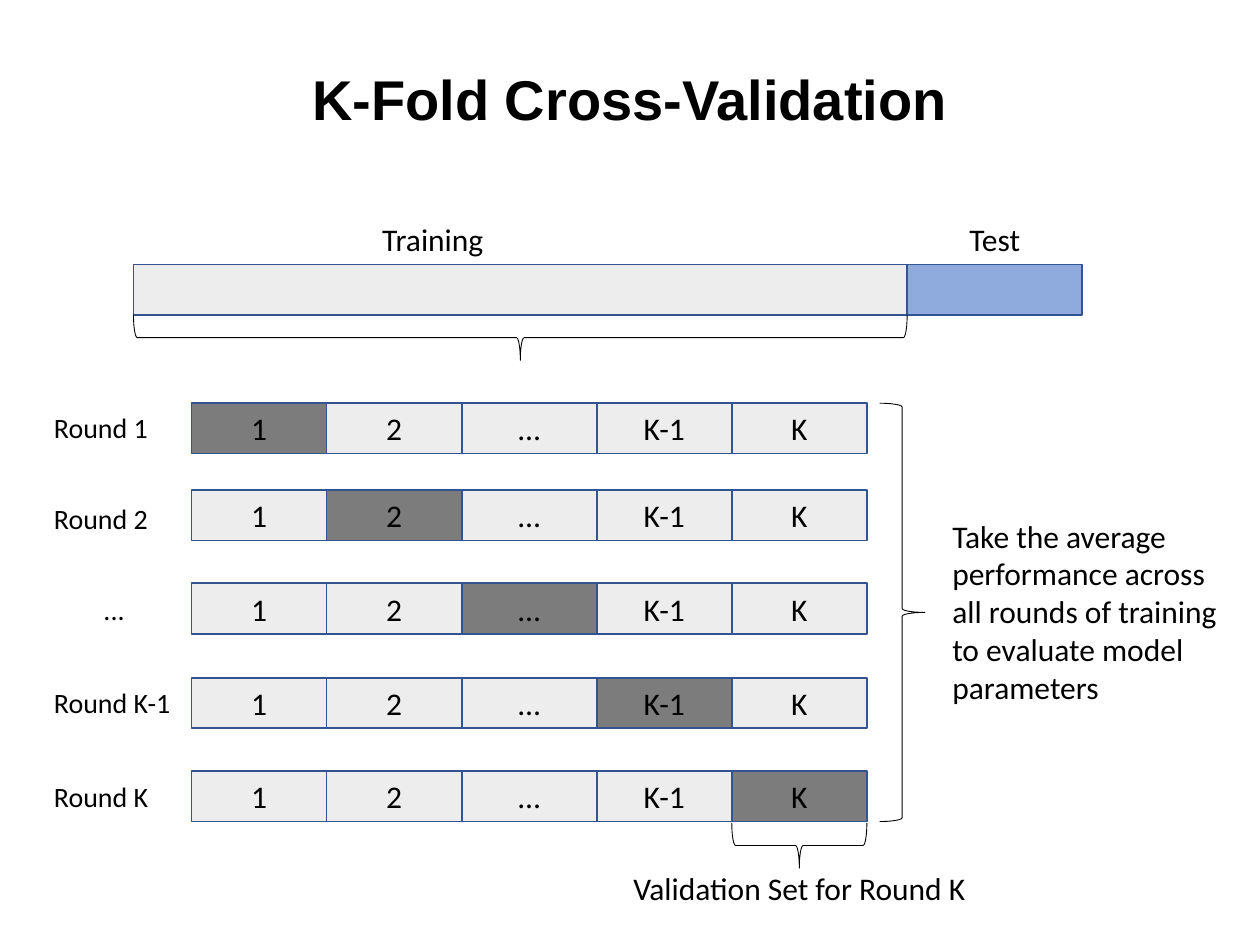
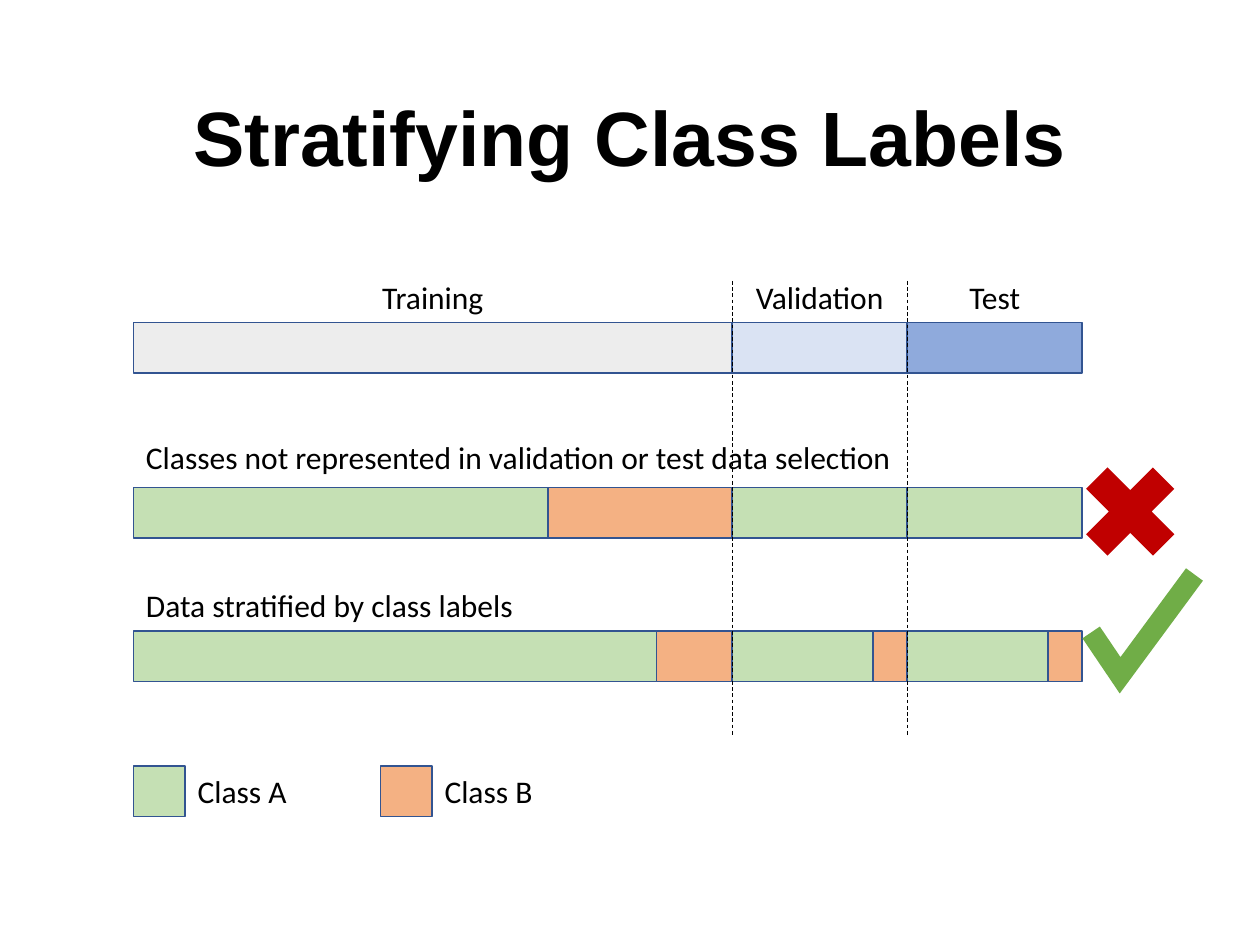
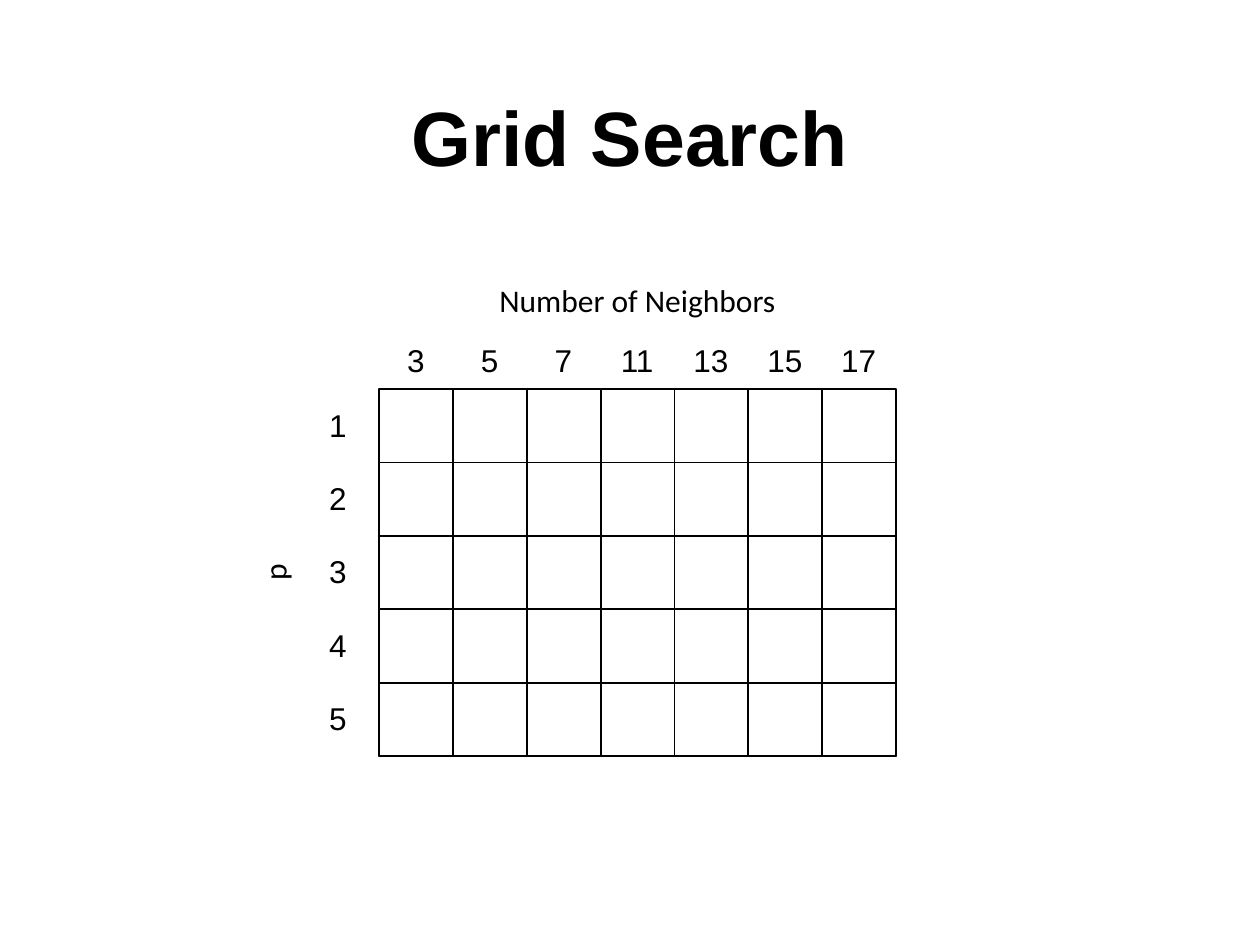
from lxml.etree import SubElement
from pptx import Presentation
from pptx.dml.color import RGBColor
from pptx.enum.dml import MSO_LINE
from pptx.enum.shapes import MSO_CONNECTOR, MSO_SHAPE
from pptx.enum.text import MSO_ANCHOR, MSO_AUTO_SIZE, PP_ALIGN
from pptx.oxml.ns import qn
from pptx.util import Inches, Pt

INK = {
    "black": "000000", "edge": "325491", "train": "EDEDED", "valid": "DAE3F3",
    "test": "8FAADC", "held": "7C7C7C", "class_a": "C5E0B4", "class_b": "F4B183",
    "wrong": "C00000", "right": "70AD47",
}
ALIGN = {"l": PP_ALIGN.LEFT, "c": PP_ALIGN.CENTER, "r": PP_ALIGN.RIGHT}
BAR = 0.4    # height of bars and of one-line labels


def ink(name):
    return RGBColor.from_string(INK[name])


def inch(*sizes):
    return [Inches(size) for size in sizes]


def write(frame, text, size=18, font="Calibri", bold=False, align="c", gap=None):
    frame.word_wrap = True
    para = frame.paragraphs[0]
    para.alignment = ALIGN[align]
    para.line_spacing = gap
    run = para.add_run()
    run.text = text
    run.font.size = Pt(size)
    run.font.name = font
    run.font.bold = bold
    run.font.color.rgb = ink("black")


def label(slide, box, text, turn=0, **form):
    item = slide.shapes.add_textbox(*inch(*box))
    item.rotation = turn
    write(item.text_frame, text, **form)
    item.text_frame.auto_size = MSO_AUTO_SIZE.SHAPE_TO_FIT_TEXT


def shape(slide, box, kind=MSO_SHAPE.RECTANGLE, fill=None, edge="edge", width=1, text=None):
    item = slide.shapes.add_shape(kind, *inch(*box))
    item.shadow.inherit = False
    if fill:
        item.fill.solid()
        item.fill.fore_color.rgb = ink(fill)
    else:
        item.fill.background()
    if edge:
        item.line.color.rgb = ink(edge)
        item.line.width = Pt(width)
    else:
        item.line.fill.background()
    if text:
        item.text_frame.vertical_anchor = MSO_ANCHOR.MIDDLE
        write(item.text_frame, text)
    return item


def brace(slide, box, turn):
    """Draw a brace that fills the box once it is turned."""
    x, y, w, h = box
    if turn == 270:
        x, y, w, h = x + (w - h) / 2, y + (h - w) / 2, h, w
    item = shape(slide, (x, y, w, h), MSO_SHAPE.LEFT_BRACE, edge="black", width=0.5)
    item.rotation = turn


def strip(slide, x, y, parts):
    """Lay bar segments of (width, fill) end to end."""
    for width, fill in parts:
        shape(slide, (x, y, width, BAR), fill=fill)
        x += width


def dash(slide, x, top, foot):
    item = slide.shapes.add_connector(MSO_CONNECTOR.STRAIGHT, *inch(x, top, x, foot))
    item.line.color.rgb = ink("black")
    item.line.width = Pt(0.5)
    item.line.dash_style = MSO_LINE.DASH
    SubElement(item._element.spPr, qn("a:effectLst"))


def page(deck, text, size=44, height=1.45):
    slide = deck.slides.add_slide(deck.slide_layouts[5])
    title = slide.shapes.title
    title.left, title.top, title.width, title.height = inch(0.69, 0.4, 8.62, height)
    title.text_frame.vertical_anchor = MSO_ANCHOR.MIDDLE
    write(title.text_frame, text, size=size, font="Arial", bold=True, gap=0.9)
    return slide


def folds(slide, box):
    """Rows of folds, with the held-out fold moving along the diagonal."""
    x, y, w, h = box
    names = ["1", "2", "\u2026", "K-1", "K"]
    rounds = [("Round 1", 0, 0.01), ("Round 2", 0.69, 0.73), ("...", 1.43, 1.45),
              ("Round K-1", 2.18, 2.19), ("Round K", 2.92, 2.94)]
    cell = w / len(names)
    for row, (text, top, drop) in enumerate(rounds):
        for col, name in enumerate(names):
            fill = "held" if row == col else "train"
            shape(slide, (x + col * cell, y + top, cell, BAR), fill=fill, text=name)
        label(slide, (x - 1.19, y + drop, 1.15, 0.37), text, size=16,
              align="c" if text == "..." else "l")
    # Notes below and beside the rows
    brace(slide, (x + w - cell, y + h + 0.01, cell, 0.36), 270)
    label(slide, (x + 2.8, y + h + 0.33, 4.05, BAR), "Validation Set for Round K")
    brace(slide, (x + w + 0.1, y, 0.36, h), 180)
    label(slide, (x + w + 0.58, y + 0.85, 2.34, 1.62),
          "Take the average performance across all rounds of training "
          "to evaluate model parameters", align="l")


def split(slide, x, y, parts, heads):
    """Data split bar with a heading over each part."""
    strip(slide, x, y, parts)
    for text, left, width in heads:
        label(slide, (x + left, y - BAR, width, BAR), text)


def marks(slide, x, y):
    """Cross and tick at the right of the class bars."""
    shape(slide, (x, y, 1.02, 1.02), MSO_SHAPE.MATH_MULTIPLY, fill="wrong", edge=None)
    pen = slide.shapes.build_freeform(*inch(x + 0.2, y + 1.47))
    pen.add_line_segments([inch(x + 0.43, y + 1.81), inch(x + 1.02, y + 1.01)], close=False)
    tick = pen.convert_to_shape()
    tick.shadow.inherit = False
    tick.fill.background()
    tick.line.color.rgb = ink("right")
    tick.line.width = Pt(12)
    SubElement(tick.line._get_or_add_ln(), qn("a:miter"), lim="800000")


def legend(slide, x, y):
    for left, fill, text in [(0, "class_a", "Class A"), (1.96, "class_b", "Class B")]:
        shape(slide, (x + left, y, 0.41, BAR), fill=fill)
        label(slide, (x + left + 0.41, y, 1.77, BAR), text, align="l")


def grid(slide, box, heads, sides):
    """Search grid: full-height columns crossed by full-width rows."""
    x, y, w, h = box
    wide, high = w / len(heads), h / len(sides)
    for col, head in enumerate(heads):
        left = x + col * wide
        shape(slide, (left, y, wide, h), edge="black")
        label(slide, (left - 0.03, y - 0.43, 0.64, BAR), head, font="Arial")
    for row in (1, 3, 4):
        shape(slide, (x, y + row * high, w, high), edge="black")
    for row, side in enumerate(sides):
        label(slide, (x - 0.8, y + 0.08 + row * high, 0.64, BAR), side,
              font="Arial", align="r")
    # Axis names
    label(slide, (x + 0.07, y - 0.91, 3.96, BAR), "Number of Neighbors")
    label(slide, (x - 2.29, y + 1.25, h, BAR), "p", turn=270)


deck = Presentation()
deck.slide_width, deck.slide_height = inch(10, 7.5)
LEFT = 1.06

# K-fold rounds
slide = page(deck, "K-Fold Cross-Validation", size=32, height=0.83)
split(slide, LEFT, 2.1, [(6.14, "train"), (1.39, "test")],
      [("Training", 0.6, 3.55), ("Test", 6.19, 1.29)])
brace(slide, (LEFT, 2.5, 6.14, 0.36), 270)
folds(slide, (1.52, 3.2, 5.36, 3.32))

# Class balance across the split
slide = page(deck, "Stratifying Class Labels")
split(slide, LEFT, 2.56, [(4.75, "train"), (1.39, "valid"), (1.39, "test")],
      [("Training", 0.6, 3.55), ("Validation", 3.67, 3.55), ("Test", 5.87, 1.93)])
strip(slide, LEFT, 3.87, [(3.29, "class_a"), (1.46, "class_b"),
                          (1.39, "class_a"), (1.39, "class_a")])
strip(slide, LEFT, 5.01, [(4.15, "class_a"), (0.6, "class_b"), (1.12, "class_a"),
                          (0.27, "class_b"), (1.12, "class_a"), (0.27, "class_b")])
legend(slide, LEFT, 6.08)
label(slide, (LEFT, 4.6, 4.15, BAR), "Data stratified by class labels", align="l")
label(slide, (LEFT, 3.43, 7.11, BAR),
      "Classes not represented in validation or test data selection", align="l")
for x in (5.81, 7.2):
    dash(slide, x, 2.23, 5.85)
marks(slide, 8.46, 3.55)

# Parameter grid
slide = page(deck, "Grid Search")
grid(slide, (3.01, 3.09, 4.1, 2.91), ["3", "5", "7", "11", "13", "15", "17"],
     ["1", "2", "3", "4", "5"])

deck.save("out.pptx")
